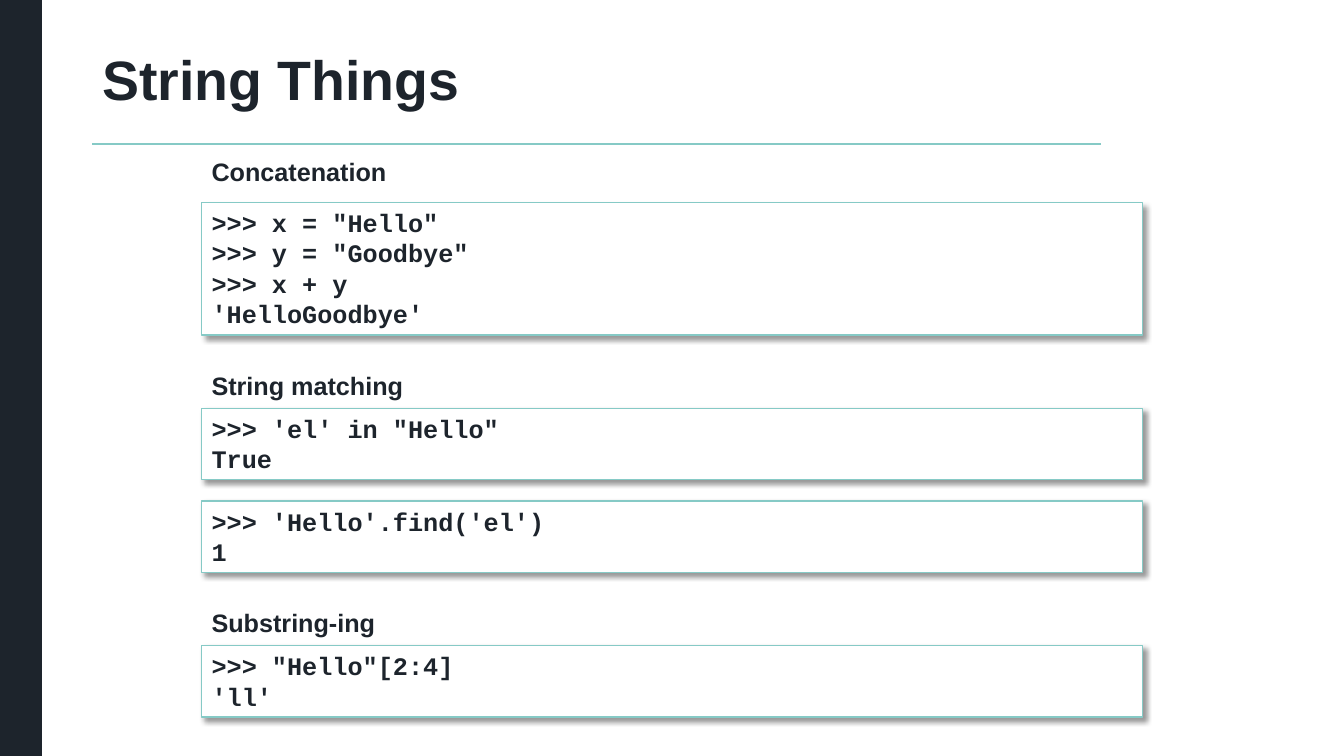
from dataclasses import dataclass

from lxml import etree
from pptx import Presentation
from pptx.dml.color import RGBColor
from pptx.enum.shapes import MSO_CONNECTOR, MSO_SHAPE
from pptx.enum.text import MSO_ANCHOR, MSO_AUTO_SIZE, PP_ALIGN
from pptx.oxml import parse_xml
from pptx.oxml.ns import nsdecls, qn
from pptx.util import Pt

RECT = MSO_SHAPE.RECTANGLE
STRAIGHT = MSO_CONNECTOR.STRAIGHT
TOP, MIDDLE = MSO_ANCHOR.TOP, MSO_ANCHOR.MIDDLE
NO_FIT = MSO_AUTO_SIZE.NONE
LEFT = PP_ALIGN.LEFT
PX = 9525


@dataclass(frozen=True)
class Theme:
    """Colours, fonts and type sizes of the slide."""
    ink: RGBColor = RGBColor(0x1D, 0x24, 0x2C)
    accent: RGBColor = RGBColor(0x86, 0xCA, 0xC6)
    paper: RGBColor = RGBColor(0xFF, 0xFF, 0xFF)
    sans: str = "Arial"
    mono: str = "Courier New"
    title_size: float = 39.6
    text_size: float = 18


THEME = Theme()
CONTENT_X = 192
CODE_W = 896
LABEL_W, LABEL_H = 207, 38

LABELS = [
    (144, "Concatenation"),
    (348, "String matching"),
    (574, "Substring-ing"),
]
CODE_BOXES = [
    (193, 126, """>>> x = "Hello"
>>> y = "Goodbye"
>>> x + y
'HelloGoodbye'"""),
    (389, 68, """>>> 'el' in "Hello"
True"""),
    (477, 68, """>>> 'Hello'.find('el')
1"""),
    (615, 68, """>>> "Hello"[2:4]
'll'"""),
]


def px(*lengths):
    """Turn pixel lengths into EMU."""
    return [n * PX for n in lengths]


def write(s, text, font=THEME.sans, size=THEME.text_size, anchor=TOP, spacing=None):
    """Write bold text into a shape, one paragraph per line."""
    tf = s.text_frame
    tf.word_wrap = True
    tf.auto_size = NO_FIT
    tf.vertical_anchor = anchor
    for i, line in enumerate(text.split("\n")):
        p = tf.add_paragraph() if i else tf.paragraphs[0]
        p.alignment = LEFT
        p.line_spacing = spacing
        r = p.add_run()
        r.text = line
        r.font.name = font
        r.font.size = Pt(size)
        r.font.bold = True
        r.font.color.rgb = THEME.ink


def add_rect(s, x, y, w, h, fill, line=None):
    """Add a flat rectangle with an optional outline."""
    sp = s.shapes.add_shape(RECT, *px(x, y, w, h))
    sp.shadow.inherit = False
    sp.fill.solid()
    sp.fill.fore_color.rgb = fill
    if line is None:
        sp.line.fill.background()
    else:
        sp.line.color.rgb = line
        sp.line.width = Pt(1)
    return sp


def add_shadow(sp):
    """Cast a soft shadow to the lower right."""
    effects = sp.element.spPr.find(qn("a:effectLst"))
    effects.append(parse_xml(
        f'<a:outerShdw {nsdecls("a")} blurRad="{Pt(4)}" dist="{Pt(3)}" '
        'dir="2700000" algn="tl" rotWithShape="0"><a:srgbClr val="000000">'
        '<a:alpha val="40000"/></a:srgbClr></a:outerShdw>'))


def add_code(s, y, h, code):
    """Add a shadowed box of code."""
    sp = add_rect(s, CONTENT_X, y, CODE_W, h, THEME.paper, THEME.accent)
    add_shadow(sp)
    write(sp, code, font=THEME.mono)


def add_label(s, y, text):
    """Add a heading above a code box."""
    write(s.shapes.add_textbox(*px(CONTENT_X, y, LABEL_W, LABEL_H)), text)


def add_rule(s, x1, x2, y):
    """Add a horizontal accent line."""
    line = s.shapes.add_connector(STRAIGHT, *px(x1, y, x2, y))
    line.line.color.rgb = THEME.accent
    line.line.width = Pt(1)
    etree.SubElement(line.element.spPr, qn("a:effectLst"))


def add_title(s, text):
    """Place and fill the title placeholder."""
    title = s.shapes.title
    title.left, title.top, title.width, title.height = px(88, 51, 961, 56)
    write(title, text, size=THEME.title_size, anchor=MIDDLE, spacing=0.9)


def main():
    """Build the slide and save it."""
    prs = Presentation()
    prs.slide_width, prs.slide_height = px(1280, 720)
    s = prs.slides.add_slide(prs.slide_layouts[5])
    add_rect(s, 0, 0, 40, 720, THEME.ink)
    add_rule(s, 88, 1049, 137)
    add_title(s, "String Things")
    for y, text in LABELS:
        add_label(s, y, text)
    for y, h, code in CODE_BOXES:
        add_code(s, y, h, code)
    prs.save("out.pptx")


if __name__ == "__main__":
    main()
